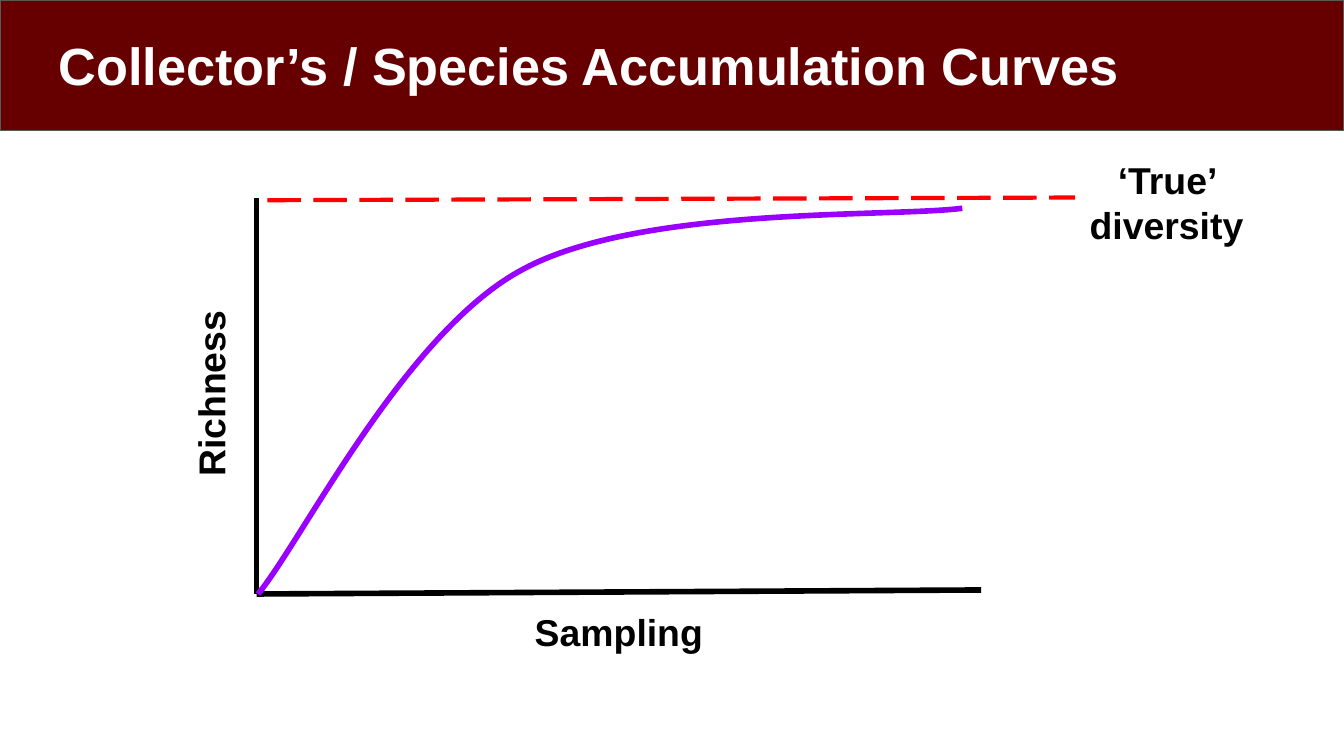
"""Build a slide that sketches a species accumulation curve."""
from lxml import etree
from pptx import Presentation
from pptx.dml.color import RGBColor
from pptx.enum.dml import MSO_LINE
from pptx.enum.shapes import MSO_CONNECTOR, MSO_SHAPE
from pptx.enum.text import PP_ALIGN
from pptx.oxml.ns import qn
from pptx.util import Inches, Pt

STRAIGHT = MSO_CONNECTOR.STRAIGHT
RECTANGLE = MSO_SHAPE.RECTANGLE
LONG_DASH = MSO_LINE.LONG_DASH
LEFT, CENTER = PP_ALIGN.LEFT, PP_ALIGN.CENTER


def color(value):
    return RGBColor.from_string(value)


def add_text(page, place, text, size=20, ink="000000", align=CENTER):
    box = page.shapes.add_textbox(*map(Inches, place))
    frame = box.text_frame
    frame.word_wrap = True
    frame.margin_left = frame.margin_right = Inches(0.1)
    frame.margin_top = frame.margin_bottom = Inches(0.1)
    para = frame.paragraphs[0]
    para.alignment = align
    span = para.add_run()
    span.text = text
    span.font.name = "Arial"
    span.font.size = Pt(size)
    span.font.bold = True
    span.font.color.rgb = color(ink)
    return box


deck = Presentation()
deck.slide_width = Inches(10)
deck.slide_height = deck.slide_width * 9 // 16
page = deck.slides.add_slide(deck.slide_layouts[6])

lines = [
    ((1.91, 4.42, 1.91, 1.47), "000000", 3, None),
    ((1.91, 4.42, 7.3, 4.39), "000000", 3, None),
    ((1.99, 1.49, 8, 1.47), "FF0000", 2.25, LONG_DASH),
]
for ends, ink, width, dash in lines:
    line = page.shapes.add_connector(STRAIGHT, *map(Inches, ends))
    line.line.color.rgb = color(ink)
    line.line.width = Pt(width)
    line.line.dash_style = dash
    etree.SubElement(line._element.spPr, qn("a:effectLst"))

add_text(page, (1.91, 4.43, 5.39, 0.54), "Sampling")
richness = add_text(page, (0.09, 2.66, 2.96, 0.54), "Richness")
richness.rotation = 270

banner = page.shapes.add_shape(RECTANGLE, 0, 0, Inches(10), Inches(0.97))
banner.shadow.inherit = False
banner.fill.solid()
banner.fill.fore_color.rgb = color("660000")
banner.line.color.rgb = color("595959")
banner.line.width = Pt(0.75)
add_text(page, (0.34, 0.15, 9.32, 0.63), "Collector’s / Species Accumulation Curves",
         28, "FFFFFF", LEFT)

curve_points = [(2.25, 4.02), (3.01, 2.48), (3.88, 2.01),
                (4.75, 1.53), (6.61, 1.62), (7.16, 1.55)]
builder = page.shapes.build_freeform(Inches(1.92), Inches(4.42))
builder.add_line_segments([(Inches(x), Inches(y)) for x, y in curve_points], close=False)
curve = builder.convert_to_shape()
curve.shadow.inherit = False
curve.fill.background()
curve.line.color.rgb = color("9900FF")
curve.line.width = Pt(3)

outline = next(curve._element.iter(qn("a:path")))
segments = outline.findall(qn("a:lnTo"))
for start in range(0, len(segments), 3):
    bezier = etree.SubElement(outline, qn("a:cubicBezTo"))
    for segment in segments[start:start + 3]:
        bezier.append(segment[0])
        outline.remove(segment)

add_text(page, (7.62, 1.07, 2.12, 0.83), "‘True’ diversity")

deck.save("out.pptx")
